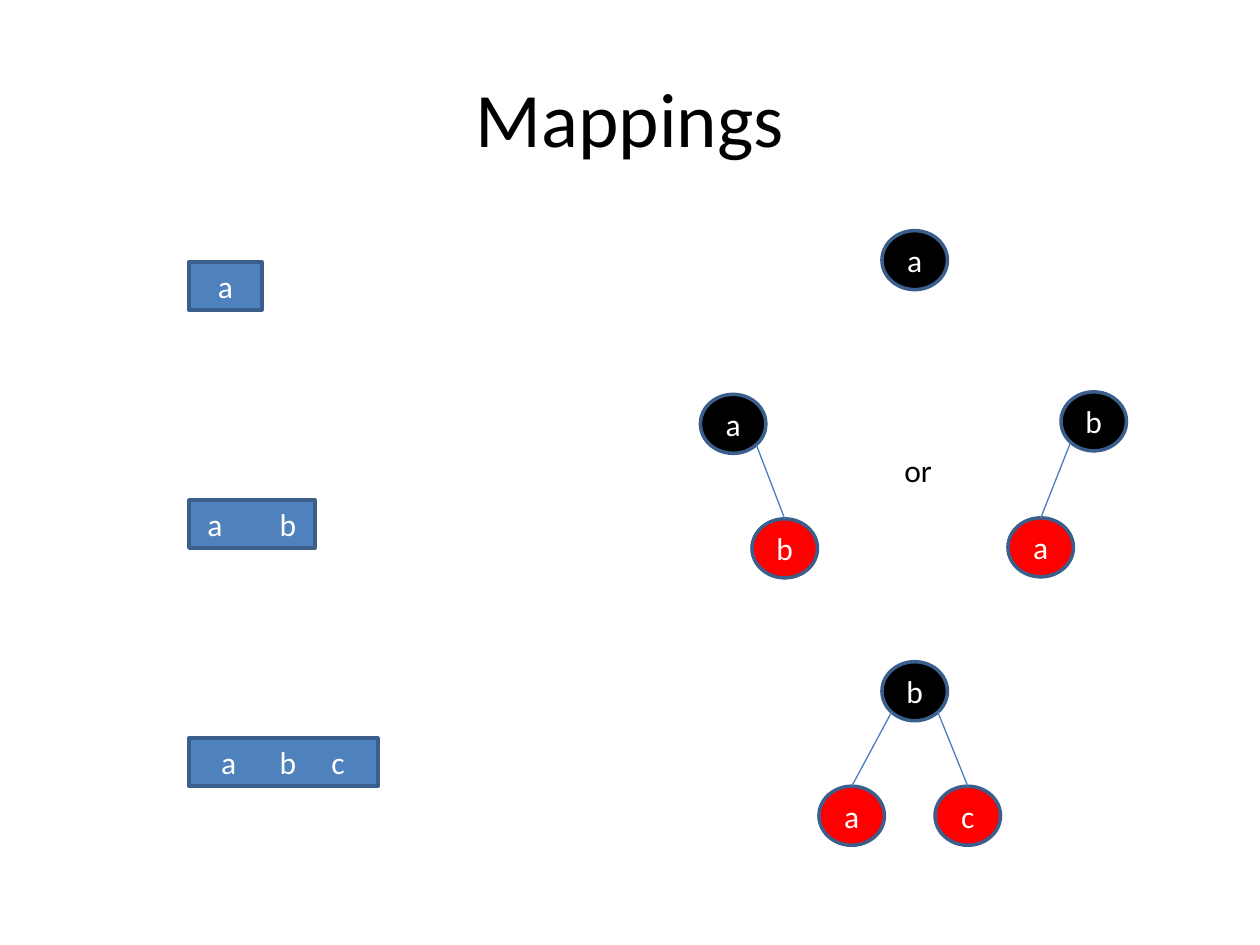
import math
from dataclasses import dataclass

from lxml import etree
from pptx import Presentation
from pptx.dml.color import RGBColor
from pptx.enum.shapes import MSO_CONNECTOR, MSO_SHAPE
from pptx.enum.text import MSO_ANCHOR, PP_ALIGN
from pptx.oxml.ns import qn
from pptx.util import Cm, Pt

RECTANGLE = MSO_SHAPE.RECTANGLE
ELLIPSE = MSO_SHAPE.OVAL
STRAIGHT = MSO_CONNECTOR.STRAIGHT
MIDDLE = MSO_ANCHOR.MIDDLE
LEFT, CENTER = PP_ALIGN.LEFT, PP_ALIGN.CENTER
TOP_SITE = 0


@dataclass(frozen=True)
class Theme:
    font: str = "Calibri"
    title_size: Pt = Pt(44)
    body_size: Pt = Pt(18)
    black: RGBColor = RGBColor(0, 0, 0)
    white: RGBColor = RGBColor(255, 255, 255)
    red: RGBColor = RGBColor(255, 0, 0)
    blue: RGBColor = RGBColor(0x4F, 0x81, 0xBD)
    outline: RGBColor = RGBColor(0x3A, 0x5F, 0x8C)
    edge: RGBColor = RGBColor(0x4B, 0x7E, 0xBC)


class MappingSlide:
    def __init__(self, deck, theme):
        self.theme = theme
        self.slide = deck.slides.add_slide(deck.slide_layouts[5])

    def set_text(self, shape, text, color, size, align=CENTER):
        frame = shape.text_frame
        frame.word_wrap = True
        para = frame.paragraphs[0]
        para.text = text
        para.alignment = align
        para.font.name = self.theme.font
        para.font.size = size
        para.font.color.rgb = color

    def title(self, text):
        title = self.slide.shapes.title
        title.left, title.top = Cm(1.27), Cm(0.76)
        title.width, title.height = Cm(22.86), Cm(3.18)
        title.text_frame.vertical_anchor = MIDDLE
        self.set_text(title, text, self.theme.black, self.theme.title_size)

    def label(self, text, left, top, width, height):
        box = self.slide.shapes.add_textbox(Cm(left), Cm(top), Cm(width), Cm(height))
        self.set_text(box, text, self.theme.black, self.theme.body_size, LEFT)

    def shape(self, kind, text, left, top, width, height, fill, align=CENTER):
        shape = self.slide.shapes.add_shape(
            kind, Cm(left), Cm(top), Cm(width), Cm(height))
        shape.shadow.inherit = False
        shape.fill.solid()
        shape.fill.fore_color.rgb = fill
        shape.line.color.rgb = self.theme.outline
        shape.line.width = Pt(2)
        shape.text_frame.vertical_anchor = MIDDLE
        self.set_text(shape, text, self.theme.white, self.theme.body_size, align)
        return shape

    def key_box(self, keys, top, width, inset=None, stops=()):
        align = LEFT if stops else CENTER
        box = self.shape(RECTANGLE, "\t".join(keys), 3.81, top, width, 0.97,
                         self.theme.blue, align)
        if stops:
            frame = box.text_frame
            frame.margin_left, frame.margin_right = Cm(inset), 0
            properties = frame.paragraphs[0]._p.get_or_add_pPr()
            tabs = etree.Element(qn("a:tabLst"))
            for stop in stops:
                etree.SubElement(tabs, qn("a:tab"), pos=str(Cm(stop)), algn="l")
            properties.insert(0, tabs)

    def node(self, key, left, top, fill):
        return self.shape(ELLIPSE, key, left, top, 1.32, 1.19, fill)

    def edge(self, parent, child):
        side = math.copysign(math.sqrt(0.5), child.left - parent.left)
        start_x = parent.left + parent.width / 2 * (1 + side)
        start_y = parent.top + parent.height / 2 * (1 + abs(side))
        line = self.slide.shapes.add_connector(
            STRAIGHT, int(start_x), int(start_y),
            child.left + child.width // 2, child.top)
        line.end_connect(child, TOP_SITE)
        line.line.color.rgb = self.theme.edge
        line.line.width = Pt(0.75)
        etree.SubElement(line._element.spPr, qn("a:effectLst"))

    def tree(self, root, *children):
        parent = self.node(*root, self.theme.black)
        for child in children:
            self.edge(parent, self.node(*child, self.theme.red))


deck = Presentation()
deck.slide_width, deck.slide_height = Cm(25.4), Cm(19.05)
page = MappingSlide(deck, Theme())
page.title("Mappings")

KEY_BOXES = [
    ("a", 1.47, None, ()),
    ("ab", 2.54, 0.37, (1.46,)),
    ("abc", 3.81, 0.65, (1.18, 2.22)),
]
for row, (keys, width, inset, stops) in enumerate(KEY_BOXES):
    page.key_box(keys, 5.28 + 4.8 * row, width, inset, stops)

TREES = [
    [("a", 17.78, 4.65)],
    [("a", 14.12, 7.95), ("b", 15.16, 10.46)],
    [("b", 21.39, 7.9), ("a", 20.32, 10.44)],
    [("b", 17.78, 13.34), ("a", 16.51, 15.85), ("c", 18.85, 15.85)],
]
for nodes in TREES:
    page.tree(*nodes)
page.label("or", 17.98, 8.97, 1.27, 1.02)

deck.save("out.pptx")
